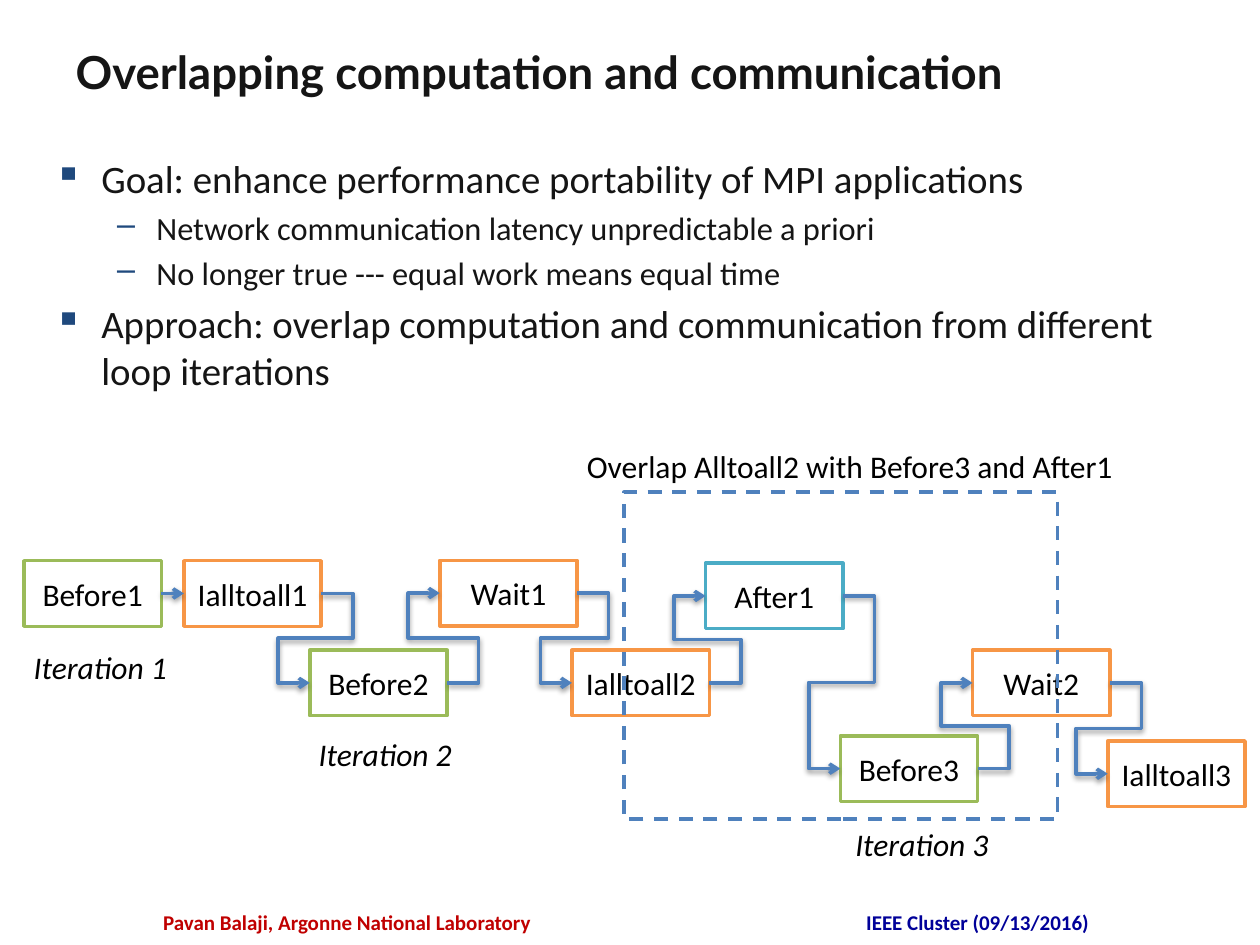
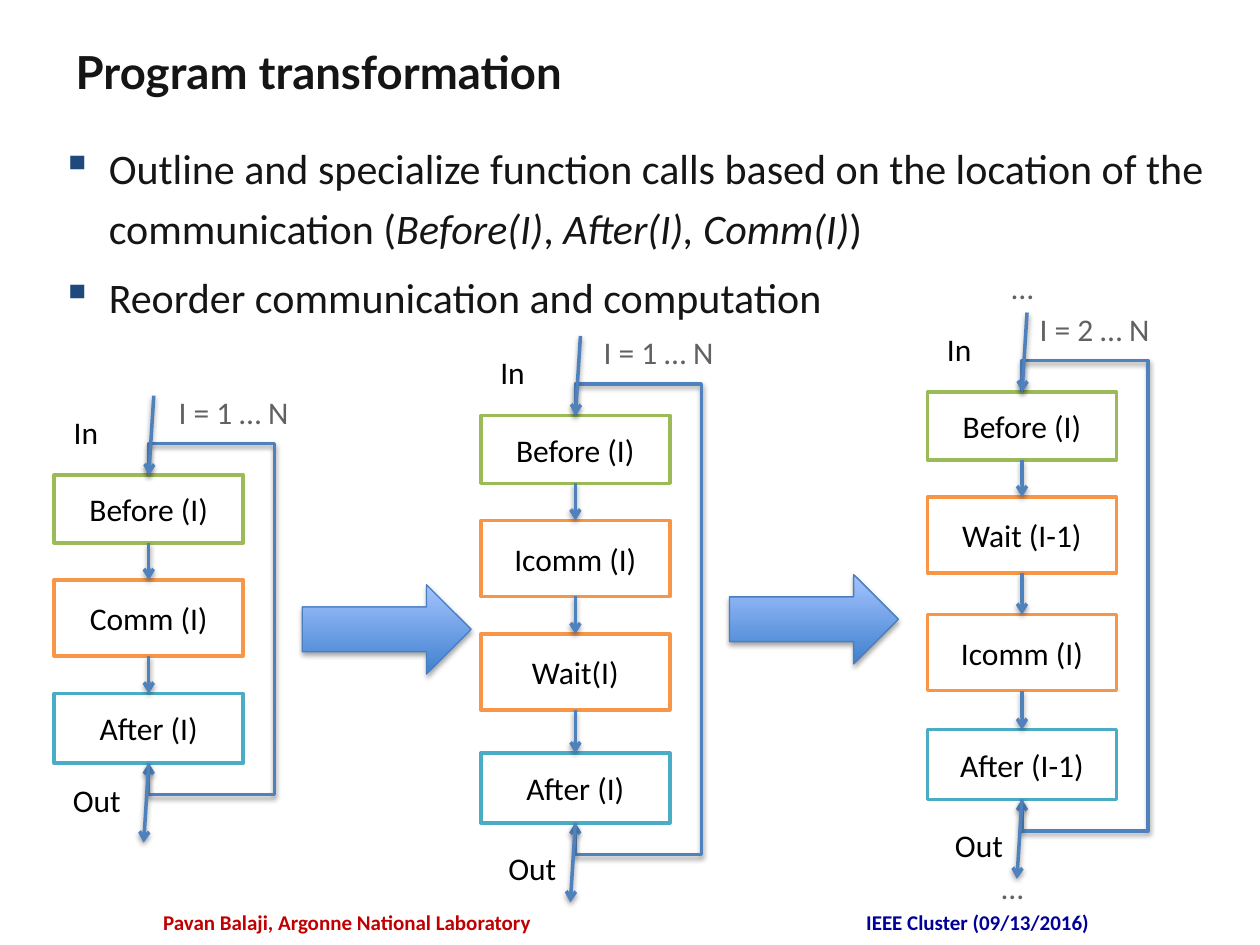
from dataclasses import dataclass
from itertools import pairwise

from lxml import etree
from pptx import Presentation
from pptx.dml.color import RGBColor
from pptx.enum import dml, shapes, text
from pptx.oxml import ns
from pptx.util import Pt


@dataclass(frozen=True)
class Theme:
    """Colours, fonts and sizes shared by the slides."""

    ink: str = "151515"
    black: str = "000000"
    grey: str = "616161"
    bullet: str = "1F497D"
    flow: str = "4F81BD"
    before: str = "9BBB59"
    comm: str = "F79646"
    after: str = "4BACC6"
    arrow_edge: str = "4B7EBC"
    arrow_dark: str = "3F80CE"
    arrow_light: str = "A4C4FF"
    author: str = "C00000"
    venue: str = "000099"
    body_font: str = "Calibri"
    title_font: str = "Lato"
    title_size: float = 26
    label_size: float = 18
    footer_size: float = 12
    stroke: float = 2


THEME = Theme()
LEVELS = (("▪", 27, 27), ("–", 58.5, 22.5))
STEP_WIDTH, STEP_HEIGHT = 78.5, 37.5
STAGE_WIDTH = 108
HOOK = 18


def set_values(target, **values):
    """Set several attributes on one object."""
    for name, value in values.items():
        setattr(target, name, value)


def style_font(font, size, color=THEME.black, **values):
    """Give a font its size, colour and other values."""
    set_values(font, **{"name": THEME.body_font, "size": Pt(size), **values})
    font.color.rgb = RGBColor.from_string(color)


def style_line(line, color=THEME.flow, width=THEME.stroke):
    """Give a line its colour and width."""
    line.color.rgb = RGBColor.from_string(color)
    line.width = Pt(width)


def add_node(parent, tag, **attributes):
    """Append one drawing element to a parent element."""
    values = {name: str(value) for name, value in attributes.items()}
    return etree.SubElement(parent, ns.qn(tag), values)


def add_shadow(shape, distance=1.6, opacity=38):
    """Give a shape a soft shadow below it."""
    properties = shape._element.spPr
    for effects in properties.findall(ns.qn("a:effectLst")):
        properties.remove(effects)
    shadow = add_node(add_node(properties, "a:effectLst"), "a:outerShdw", blurRad=Pt(3.1),
                      dist=Pt(distance), dir=5400000, rotWithShape=0)
    color = add_node(shadow, "a:srgbClr", val=THEME.black)
    add_node(color, "a:alpha", val=opacity * 1000)


def finish_arrow(shape):
    """Style an arrow's line, head and shadow."""
    style_line(shape.line)
    add_node(shape.line._get_or_add_ln(), "a:tailEnd", type="arrow")
    add_shadow(shape)


def add_label(slide, left, top, width, words, color=THEME.black, size=THEME.label_size,
              align=text.PP_ALIGN.LEFT, **font):
    """Add a one-line text box."""
    box = slide.shapes.add_textbox(Pt(left), Pt(top), Pt(width), Pt(size * 1.5))
    set_values(box.text_frame, word_wrap=True, margin_right=0)
    paragraph = box.text_frame.paragraphs[0]
    paragraph.alignment = align
    run = paragraph.add_run()
    run.text = words
    style_font(run.font, size, color, **font)


def add_footer(slide, left, width, words, color):
    """Add one centred footer."""
    add_label(slide, left, 516.2, width, words, color, THEME.footer_size,
              text.PP_ALIGN.CENTER, bold=True)


def add_titled_slide(presentation, title):
    """Add a slide with its title and both footers."""
    slide = presentation.slides.add_slide(presentation.slide_layouts[5])
    shape = slide.shapes.title
    set_values(shape, left=Pt(36), top=Pt(21.6), width=Pt(648), height=Pt(62.6))
    frame = shape.text_frame
    frame.text = title
    set_values(frame, vertical_anchor=text.MSO_ANCHOR.TOP, auto_size=text.MSO_AUTO_SIZE.NONE)
    paragraph = frame.paragraphs[0]
    paragraph.alignment = text.PP_ALIGN.LEFT
    style_font(paragraph.runs[0].font, THEME.title_size, THEME.ink,
               name=THEME.title_font, bold=True)
    add_footer(slide, 77.8, 234, "Pavan Balaji, Argonne National Laboratory", THEME.author)
    add_footer(slide, 414, 282.2, "IEEE Cluster (09/13/2016)", THEME.venue)
    return slide


def add_bullets(slide, place, items, line_spacing=1.0):
    """Add bullets given as level, size and runs; every second run is italic."""
    frame = slide.shapes.add_textbox(*map(Pt, place)).text_frame
    frame.word_wrap = True
    for index, (level, size, runs) in enumerate(items):
        paragraph = frame.add_paragraph() if index else frame.paragraphs[0]
        mark, margin, hang = LEVELS[level]
        properties = paragraph._p.get_or_add_pPr()
        properties.set("marL", str(Pt(margin)))
        properties.set("indent", str(-Pt(hang)))
        color = add_node(properties, "a:buClr")
        add_node(color, "a:srgbClr", val=THEME.bullet)
        add_node(properties, "a:buChar", char=mark)
        set_values(paragraph, level=level, line_spacing=line_spacing,
                   space_before=Pt(size * 0.2 if index else 0))
        for number, words in enumerate(runs):
            run = paragraph.add_run()
            run.text = words
            style_font(run.font, size, THEME.ink, italic=number % 2 == 1)


def add_box(slide, left, top, width, height, color, words=""):
    """Add an outlined rectangle with centred text."""
    box = slide.shapes.add_shape(shapes.MSO_SHAPE.RECTANGLE,
                                 *map(Pt, (left, top, width, height)))
    box.shadow.inherit = False
    box.fill.background()
    style_line(box.line, color)
    if words:
        frame = box.text_frame
        set_values(frame, word_wrap=True, margin_left=0, margin_right=0,
                   vertical_anchor=text.MSO_ANCHOR.MIDDLE)
        paragraph = frame.paragraphs[0]
        paragraph.alignment = text.PP_ALIGN.CENTER
        run = paragraph.add_run()
        run.text = words
        style_font(run.font, THEME.label_size)
    return box


def add_arrow(slide, start, end, source=None, target=None):
    """Add a straight arrow, joined to a (box, side) at either end."""
    arrow = slide.shapes.add_connector(shapes.MSO_CONNECTOR.STRAIGHT, *start, *end)
    if source:
        arrow.begin_connect(*source)
    if target:
        arrow.end_connect(*target)
    finish_arrow(arrow)


def add_route(slide, points):
    """Add an arrow with square corners through the points."""
    builder = slide.shapes.build_freeform(*points[0])
    builder.add_line_segments(points[1:], close=False)
    route = builder.convert_to_shape()
    route.fill.background()
    finish_arrow(route)


def side_middle(box, side):
    """Return the middle of a side: 0 top, 1 left, 2 bottom, 3 right."""
    across, down = ((1, 0), (0, 1), (1, 2), (2, 1))[side]
    return box.left + box.width * across // 2, box.top + box.height * down // 2


def join_boxes(slide, first, second, exit_side, entry_side):
    """Join two boxes with a straight arrow."""
    add_arrow(slide, side_middle(first, exit_side), side_middle(second, entry_side),
              (first, exit_side), (second, entry_side))


def add_hook(slide, first, second):
    """Lead an arrow from a box's right side back to the next box's left side."""
    start, end = side_middle(first, 3), side_middle(second, 1)
    right, left = start[0] + Pt(HOOK), end[0] - Pt(HOOK)
    middle = (start[1] + end[1]) // 2
    add_route(slide, [start, (right, start[1]), (right, middle),
                      (left, middle), (left, end[1]), end])


def add_loop(slide, first, last):
    """Lead an arrow from the top of a column around to its bottom."""
    start, end = side_middle(first, 0), side_middle(last, 2)
    right, above, below = start[0] + Pt(72), start[1] - Pt(HOOK), end[1] + Pt(HOOK)
    add_route(slide, [start, (start[0], above), (right, above),
                      (right, below), (end[0], below), end])


def add_block_arrow(slide, left, top):
    """Add a shaded block arrow between two columns."""
    arrow = slide.shapes.add_shape(shapes.MSO_SHAPE.RIGHT_ARROW,
                                   *map(Pt, (left, top, 96.5, 51.1)))
    arrow.fill.gradient()
    arrow.fill.gradient_angle = 90
    for stop, color in zip(arrow.fill.gradient_stops, (THEME.arrow_dark, THEME.arrow_light)):
        stop.color.rgb = RGBColor.from_string(color)
    style_line(arrow.line, THEME.arrow_edge, 0.75)
    add_shadow(arrow, 1.8, 35)


def add_column(slide, left, stages, loop_range, range_offset, out_offset):
    """Add a looped column of stages with its arrows and labels."""
    heights = {THEME.before: 38.8, THEME.comm: 43.4, THEME.after: 39.8}
    boxes = [add_box(slide, left, top, STAGE_WIDTH, heights[color], color, words)
             for words, color, top in stages]
    for first, second in pairwise(boxes):
        join_boxes(slide, first, second, 2, 0)
    add_loop(slide, boxes[0], boxes[-1])
    entry, leave = side_middle(boxes[0], 0), side_middle(boxes[-1], 2)
    lean, reach = Pt(2.9), Pt(45.4)
    add_arrow(slide, (entry[0] + lean, entry[1] - reach), entry, target=(boxes[0], 0))
    add_arrow(slide, leave, (leave[0] - lean, leave[1] + reach), source=(boxes[-1], 2))
    top, bottom = entry[1] / Pt(1), leave[1] / Pt(1)
    add_label(slide, left + 4, top - 39, 29, "In")
    add_label(slide, left + out_offset[0], bottom + out_offset[1], 42.5, "Out")
    add_label(slide, left + range_offset, top - 50.4, 91.4, loop_range, THEME.grey)


def build_overlap_slide(presentation):
    """Build the slide on overlapping loop iterations."""
    slide = add_titled_slide(presentation, "Overlapping computation and communication")
    add_bullets(slide, (23.8, 85, 672.5, 158.4), [
        (0, 22.2, ["Goal: enhance performance portability of MPI applications"]),
        (1, 18.5, ["Network communication latency unpredictable a priori"]),
        (1, 18.5, ["No longer true --- equal work means equal time"]),
        (0, 22.2, ["Approach: overlap computation and communication from different "
                   "loop iterations"]),
    ])
    steps = [
        ("Before1", THEME.before, 13.7, 320.4),
        ("Ialltoall1", THEME.comm, 105.1, 320.4),
        ("Before2", THEME.before, 177, 371.5),
        ("Wait1", THEME.comm, 251.3, 320.2),
        ("Ialltoall2", THEME.comm, 326.9, 371.5),
        ("After1", THEME.after, 403.2, 321.8),
        ("Before3", THEME.before, 480.2, 420.5),
        ("Wait2", THEME.comm, 555.8, 371.5),
        ("Ialltoall3", THEME.comm, 633, 423.4),
    ]
    boxes = [add_box(slide, left, top, STEP_WIDTH, STEP_HEIGHT, color, words)
             for words, color, left, top in steps]
    overlap = add_box(slide, 356.6, 281.3, 247.7, 186.7, THEME.flow)
    overlap.line.dash_style = dml.MSO_LINE.DASH
    add_label(slide, 328.3, 252, 357.8, "Overlap Alltoall2 with Before3 and After1")
    join_boxes(slide, boxes[0], boxes[1], 3, 1)
    for first, second in pairwise(boxes[1:]):
        add_hook(slide, first, second)
    for number, (left, top) in enumerate(((12.2, 366.5), (175, 416.4), (481.7, 468)), 1):
        add_label(slide, left, top, 101.5, f"Iteration {number}", italic=True)


def build_transformation_slide(presentation):
    """Build the slide on the three forms of the loop."""
    slide = add_titled_slide(presentation, "Program transformation")
    add_bullets(slide, (28.1, 72, 667.4, 153.4), [
        (0, 24, ["Outline and specialize function calls based on the location of the "
                 "communication (", "Before(I)", ", ", "After(I), Comm(I)", ")"]),
        (0, 24, ["Reorder communication and computation"]),
    ], 1.2)
    add_column(slide, 31, [
        ("Before (I)", THEME.before, 271.5),
        ("Comm (I)", THEME.comm, 331.4),
        ("After (I)", THEME.after, 396.3),
    ], "I = 1 … N", 64, (3.5, 6.5))
    add_column(slide, 274.8, [
        ("Before (I)", THEME.before, 237.4),
        ("Icomm (I)", THEME.comm, 297.4),
        ("Wait(I)", THEME.comm, 362.3),
        ("After (I)", THEME.after, 430.4),
    ], "I = 1 … N", 63, (8.6, 11.5))
    add_column(slide, 530, [
        ("Before (I)", THEME.before, 224),
        ("Wait (I-1)", THEME.comm, 284),
        ("Icomm (I)", THEME.comm, 351.2),
        ("After (I-1)", THEME.after, 417),
    ], "I = 2 … N", 57, (8.6, 11.5))
    for left, top in ((571, 149.8), (565.2, 492.5)):
        add_label(slide, left, top, 32.4, "…", THEME.grey)
    for left, top in ((172.8, 334.1), (416.9, 328.3)):
        add_block_arrow(slide, left, top)


def main():
    """Build and save the presentation."""
    presentation = Presentation()
    set_values(presentation, slide_width=Pt(720), slide_height=Pt(540))
    build_overlap_slide(presentation)
    build_transformation_slide(presentation)
    presentation.save("out.pptx")


if __name__ == "__main__":
    main()
